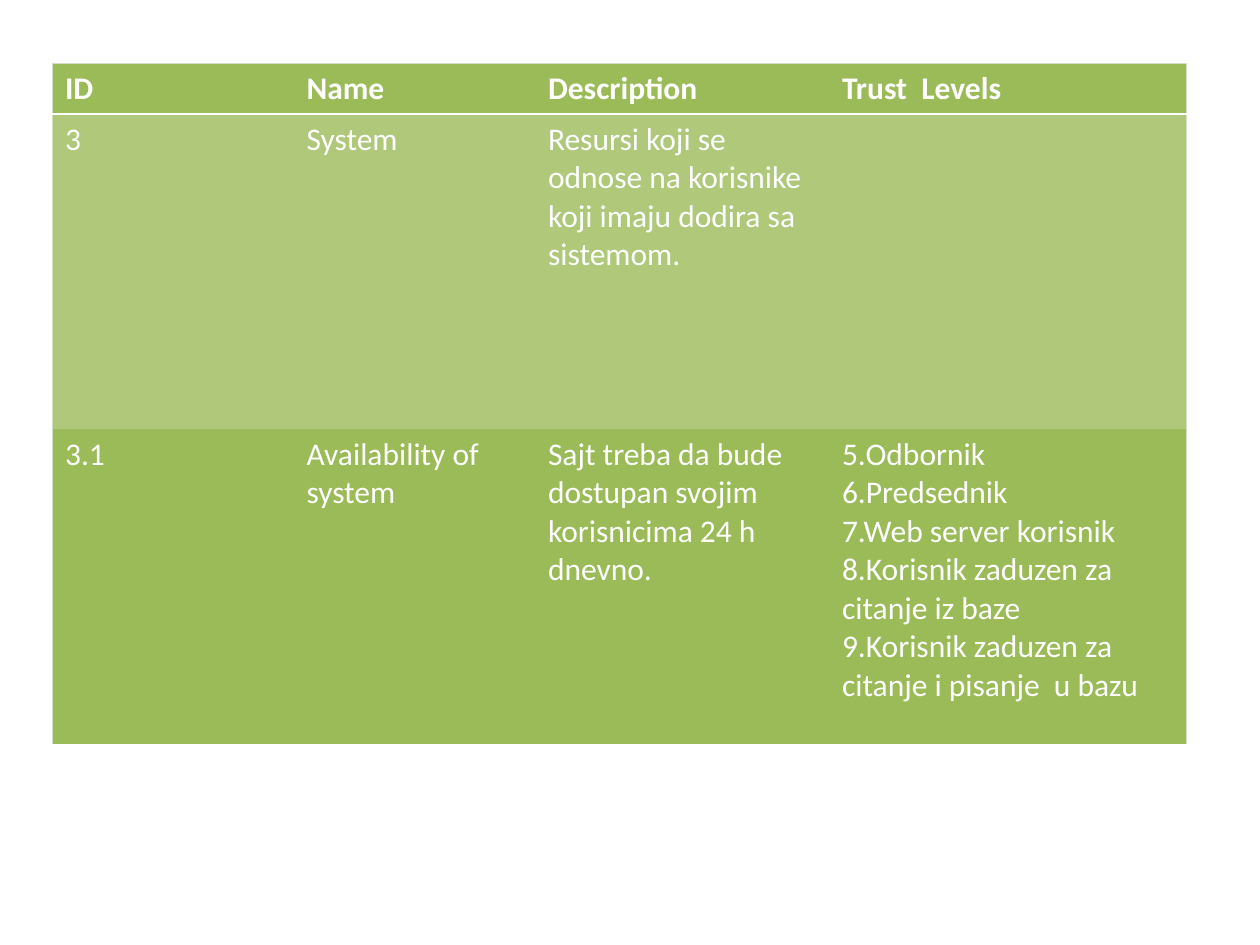
from typing import NamedTuple, Optional

from lxml.etree import SubElement
from pptx import Presentation
from pptx.dml.color import RGBColor as Rgb
from pptx.oxml.ns import qn
from pptx.util import Pt

COLORS = {"green": "9BBB59", "light": "AFC87A", "edge": "D4E0C3", "white": "FFFFFF"}
WIDTHS = [138, 138, 168, 204]


class Line(NamedTuple):
    color: str
    width: float


class Row(NamedTuple):
    height: float
    fill: str
    texts: list[str]
    bold: bool = False


EDGE = Line("edge", 0.34)
RULE = Line("white", 1.47)

ROWS = [
    Row(29.2, "green", ["ID", "Name", "Description", "Trust  Levels"], True),
    Row(180, "light", [
        "3",
        "System",
        "Resursi koji se odnose na korisnike koji imaju dodira sa sistemom.",
        "",
    ]),
    Row(180, "green", [
        "3.1",
        "Availability of system",
        "Sajt treba da bude dostupan svojim korisnicima 24 h dnevno.",
        "5.Odbornik\n6.Predsednik\n7.Web server korisnik\n"
        "8.Korisnik zaduzen za citanje iz baze\n"
        "9.Korisnik zaduzen za citanje i pisanje  u bazu",
    ]),
]


def add_border(cell, side: str, line: Optional[Line]) -> None:
    props = cell._tc.get_or_add_tcPr()
    node = SubElement(props, qn(f"a:ln{side}"))
    if line is None:
        node.set("w", "0")
        SubElement(node, qn("a:noFill"))
        return
    node.set("w", str(Pt(line.width)))
    fill = SubElement(node, qn("a:solidFill"))
    SubElement(fill, qn("a:srgbClr")).set("val", COLORS[line.color])


def fill_cell(cell, text: str, row: Row) -> None:
    cell.fill.solid()
    cell.fill.fore_color.rgb = Rgb.from_string(COLORS[row.fill])
    cell.text_frame.text = text
    for para in cell.text_frame.paragraphs:
        for run in para.runs:
            font = run.font
            font.name, font.size, font.bold = "Calibri", Pt(18), row.bold
            font.color.rgb = Rgb.from_string(COLORS["white"])


def draw_table(slide) -> None:
    high = sum(row.height for row in ROWS)
    frame = slide.shapes.add_table(
        len(ROWS), len(WIDTHS), Pt(30), Pt(36), Pt(sum(WIDTHS)), Pt(high))
    table = frame.table
    table.horz_banding = False
    for col, width in zip(table.columns, WIDTHS):
        col.width = Pt(width)
    for r, row in enumerate(ROWS):
        table.rows[r].height = Pt(row.height)
        for c, text in enumerate(row.texts):
            cell = table.cell(r, c)
            # Pale outer edges, white rule under the header
            add_border(cell, "L", EDGE if c == 0 else None)
            add_border(cell, "R", EDGE if c == len(WIDTHS) - 1 else None)
            add_border(cell, "T", {0: EDGE, 1: RULE}.get(r))
            add_border(cell, "B", RULE if r == 0 else None)
            fill_cell(cell, text, row)


def main() -> None:
    deck = Presentation()
    deck.slide_width, deck.slide_height = Pt(720), Pt(540)
    # The slide has no title, so the blank layout fits
    slide = deck.slides.add_slide(deck.slide_layouts[6])
    draw_table(slide)
    deck.save("out.pptx")


if __name__ == "__main__":
    main()
